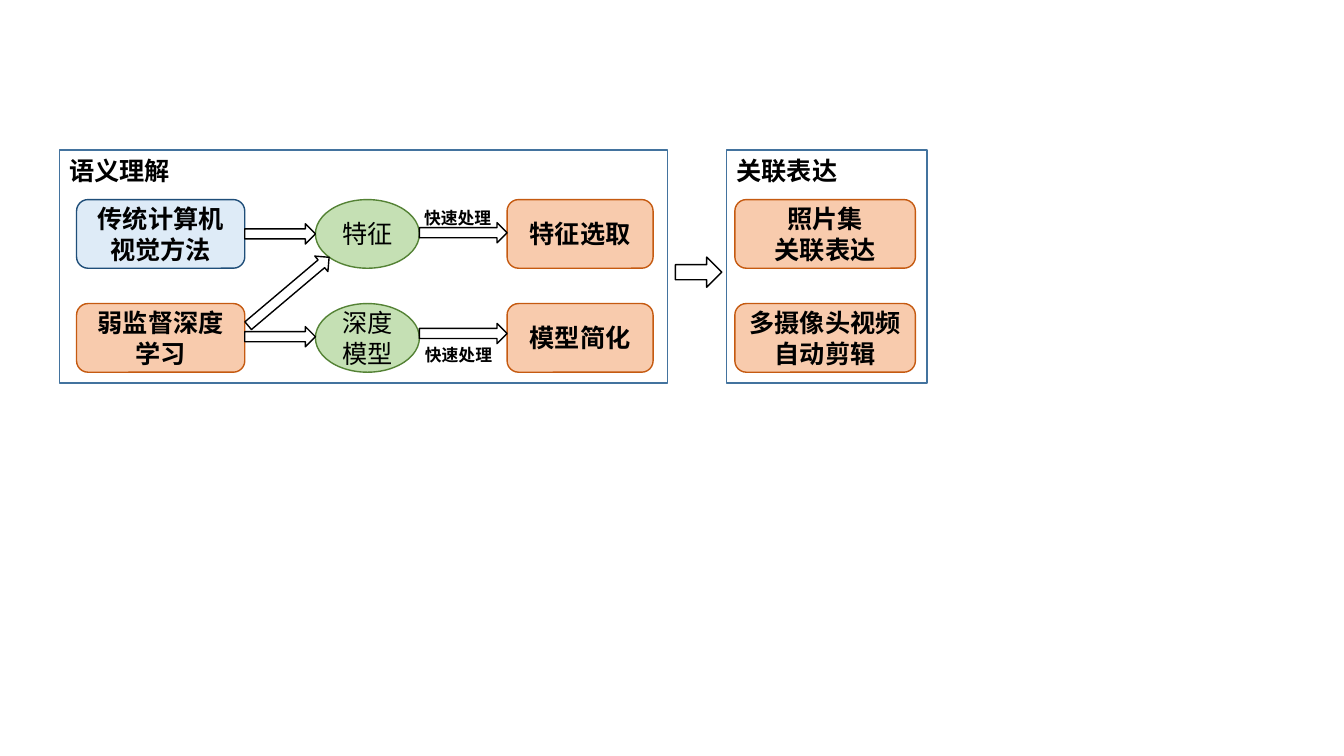
from pptx import Presentation
from pptx.dml.color import RGBColor
from pptx.enum import shapes, text
from pptx.util import Cm, Pt

COLORS = {
    "black": "000000",
    "white": "FFFFFF",
    "panel": "43739E",
    "orange": "F8CBAD",
    "orange_line": "C55A11",
    "blue": "DEEBF7",
    "blue_line": "1F4E79",
    "green": "C5E0B4",
    "green_line": "548235",
}
SHAPE = shapes.MSO_SHAPE
ROWS = (5.03, 7.65)
NODE_H = 1.73
ARROW_H = 0.51
METHOD, FEATURE, RESULT, OUTPUT = (1.93, 4.24), (7.95, 2.62), (12.78, 3.68), (18.52, 4.55)


def rgb(name):
    return RGBColor.from_string(COLORS[name])


def write(tf, lines, size=18, bold=True, align=text.PP_ALIGN.CENTER):
    for i, line in enumerate(lines.split("\n")):
        p = tf.paragraphs[0] if i == 0 else tf.add_paragraph()
        p.text = line
        p.alignment = align
        p.font.name = "Calibri"
        p.font.size = Pt(size)
        p.font.bold = bold
        p.font.color.rgb = rgb("black")


def add_outlined(s, kind, x, y, w, h, fill, line):
    """Add a preset shape, sized in cm; a fill of None leaves it hollow."""
    sp = s.shapes.add_shape(kind, Cm(x), Cm(y), Cm(w), Cm(h))
    sp.shadow.inherit = False
    if fill:
        sp.fill.solid()
        sp.fill.fore_color.rgb = rgb(fill)
    else:
        sp.fill.background()
    sp.line.color.rgb = rgb(line)
    sp.line.width = Pt(1)
    return sp


def add_node(s, column, row, lines, color="orange", kind=SHAPE.ROUNDED_RECTANGLE):
    x, w = column
    sp = add_outlined(s, kind, x, ROWS[row], w, NODE_H, color, color + "_line")
    sp.text_frame.vertical_anchor = text.MSO_ANCHOR.MIDDLE
    write(sp.text_frame, lines, bold=kind != SHAPE.OVAL)


def add_arrow(s, x, y, w, h=ARROW_H, rotation=0):
    sp = add_outlined(s, SHAPE.RIGHT_ARROW, x, y, w, h, "white", "black")
    sp.rotation = rotation


def add_panel(s, x, w, title):
    sp = add_outlined(s, SHAPE.RECTANGLE, x, 3.78, w, 5.87, None, "panel")
    sp.text_frame.vertical_anchor = text.MSO_ANCHOR.TOP
    write(sp.text_frame, title, align=text.PP_ALIGN.LEFT)


def add_label(s, x, y, words):
    tf = s.shapes.add_textbox(Cm(x), Cm(y), Cm(2.24), Cm(0.76)).text_frame
    tf.word_wrap = False
    tf.auto_size = text.MSO_AUTO_SIZE.SHAPE_TO_FIT_TEXT
    write(tf, words, size=12, align=text.PP_ALIGN.LEFT)


def main():
    prs = Presentation()
    prs.slide_width, prs.slide_height = Cm(33.87), Cm(19.05)
    s = prs.slides.add_slide(prs.slide_layouts[6])

    add_node(s, METHOD, 0, "传统计算机视觉方法", "blue")
    add_node(s, METHOD, 1, "弱监督深度学习")
    for row, (feature, result, output) in enumerate((
        ("特征", "特征选取", "照片集\n关联表达"),
        ("深度模型", "模型简化", "多摄像头视频\n自动剪辑"),
    )):
        add_node(s, FEATURE, row, feature, "green", SHAPE.OVAL)
        add_node(s, RESULT, row, result)
        add_node(s, OUTPUT, row, output)

    for method_y, feature_y in ((5.64, 5.61), (8.23, 8.15)):
        add_arrow(s, 6.17, method_y, 1.78)
        add_arrow(s, 10.57, feature_y, 2.21)
    add_arrow(s, 5.94, 7.09, 2.67, rotation=319.8)
    add_label(s, 10.44, 5.11, "快速处理")
    add_label(s, 10.46, 8.56, "快速处理")

    add_panel(s, 1.5, 15.32, "语义理解")
    add_panel(s, 18.31, 5.05, "关联表达")
    add_arrow(s, 17.02, 6.48, 1.17, h=0.76)

    prs.save("out.pptx")


if __name__ == "__main__":
    main()
